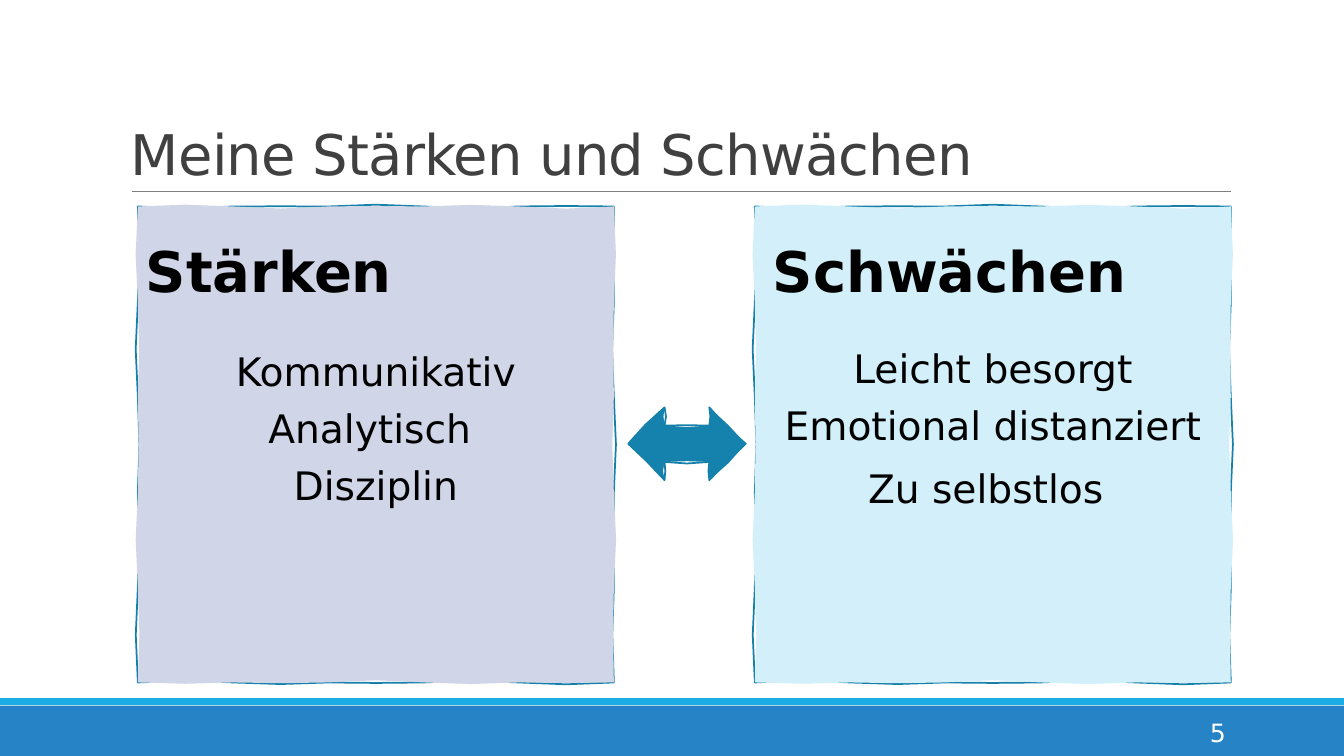
import math
from pptx import Presentation
from pptx import util as u
from pptx.dml.color import RGBColor
from pptx.enum import shapes, text
from lxml import etree

Pt = u.Pt
FONT = "DejaVu Sans"
EDGE = "1580A9"
MID = text.PP_ALIGN.CENTER
NS = "http://schemas.openxmlformats.org/drawingml/2006/main"


def color(code):
    return RGBColor.from_string(code)


def apply(obj, values):
    for key, value in values.items():
        setattr(obj, key, value)


def paint(shape, fill=None, line=None):
    shape.shadow.inherit = False
    if fill:
        shape.fill.solid()
        shape.fill.fore_color.rgb = color(fill)
    else:
        shape.fill.background()
    if line:
        shape.line.color.rgb = color(line)
        shape.line.width = Pt(1.25)
    else:
        shape.line.fill.background()


def add_run(para, words, size, ink, bold=False):
    run = para.add_run()
    run.text = words
    apply(run.font, {"name": FONT, "size": Pt(size), "bold": bold})
    run.font.color.rgb = color(ink)
    return run


def add_label(slide, box, words, size, ink, bold=False, anchor="TOP", align="LEFT"):
    frame = slide.shapes.add_textbox(*map(Pt, box)).text_frame
    apply(frame, {"word_wrap": True,
                  "vertical_anchor": getattr(text.MSO_ANCHOR, anchor)})
    para = frame.paragraphs[0]
    para.alignment = getattr(text.PP_ALIGN, align)
    return para, add_run(para, words, size, ink, bold)


def add_bar(slide, top, height, fill):
    bar = slide.shapes.add_shape(shapes.MSO_SHAPE.RECTANGLE,
                                 0, Pt(top), Pt(960), Pt(height))
    paint(bar, fill)


def add_rule(slide, left, right, y):
    rule = slide.shapes.add_connector(shapes.MSO_CONNECTOR.STRAIGHT,
                                      Pt(left), Pt(y), Pt(right), Pt(y))
    rule.line.color.rgb = color("808080")
    rule.line.width = Pt(0.5)
    etree.SubElement(rule._element.spPr, f"{{{NS}}}effectLst")


def wobble(corners, amp, phase):
    """Points of a closed outline whose sides sway like a hand-drawn line."""
    points = []
    for side, (x, y) in enumerate(corners):
        nx, ny = corners[(side + 1) % len(corners)]
        size = math.hypot(nx - x, ny - y)
        steps = max(2, round(size / 34))
        for step in range(steps):
            t = step / steps
            sway = amp * math.sin(steps * math.pi * t / 2)
            sway *= math.cos(5 * t + side + phase) / size
            points.append((Pt(x + (nx - x) * t - (ny - y) * sway),
                           Pt(y + (ny - y) * t + (nx - x) * sway)))
    return points


def add_sketch(slide, corners, amp, fill):
    """Loose outline with a fill of slightly different shape over it."""
    for phase, look in ((0, {"line": EDGE}), (2, {"fill": fill})):
        points = wobble(corners, amp, phase)
        pen = slide.shapes.build_freeform(*points[0], scale=1.0)
        pen.add_line_segments(points[1:], close=True)
        shape = pen.convert_to_shape()
        paint(shape, **look)
    return shape


def add_panel(slide, left, fill, inset, lines):
    top, side = 147.5, 340
    right, base = left + side, top + side
    corners = [(left, top), (right, top), (right, base), (left, base)]
    frame = add_sketch(slide, corners, 1.6, fill).text_frame
    apply(frame, {"word_wrap": True, "margin_top": Pt(inset),
                  "vertical_anchor": text.MSO_ANCHOR.TOP})
    for i, words in enumerate(lines):
        para = frame.add_paragraph() if i else frame.paragraphs[0]
        apply(para, {"alignment": MID, "space_after": Pt(7)})
        add_run(para, words, 28, "000000")
    return para


def add_arrow(slide, x, y):
    half, neck, head, shaft = 42, 16, 26, 13
    upper = [(-half, 0), (-neck, -head), (-neck, -shaft),
             (neck, -shaft), (neck, -head), (half, 0)]
    lower = [(dx, -dy) for dx, dy in upper[-2:0:-1]]
    corners = [(x + dx, y + dy) for dx, dy in upper + lower]
    add_sketch(slide, corners, 1.1, "1482AC")


def main():
    deck = Presentation()
    apply(deck, {"slide_width": Pt(960), "slide_height": Pt(540)})
    slide = deck.slides.add_slide(deck.slide_layouts[6])

    add_bar(slide, 504, 36, "2683C6")
    add_bar(slide, 498.7, 4.8, "1CADE4")
    add_rule(slide, 94.3, 879, 136.7)
    para, run = add_label(slide, (86.4, 22.4, 792, 114.4),
                          "Meine Stärken und Schwächen", 40, "404040",
                          anchor="BOTTOM")
    para.line_spacing = 0.85
    run._r.get_or_add_rPr().set("spc", "-50")

    add_panel(slide, 98.5, "D0D5E7", 102,
              ["Kommunikativ", "Analytisch ", "Disziplin"])
    last = add_panel(slide, 539.2, "D2EFFA", 100,
                     ["Leicht besorgt", "Emotional distanziert", "Zu selbstlos"])
    add_run(last, " ", 32, "FFFFFF")
    for left, words in ((97.2, "Stärken"), (545, "Schwächen")):
        add_label(slide, (left, 165.6, 316, 55.4), words, 40, "000000", True)

    add_arrow(slide, 490.7, 317)
    add_label(slide, (779.8, 508.6, 103, 28.8), "5", 18, "FFFFFF",
              anchor="MIDDLE", align="RIGHT")
    deck.save("out.pptx")


if __name__ == "__main__":
    main()
